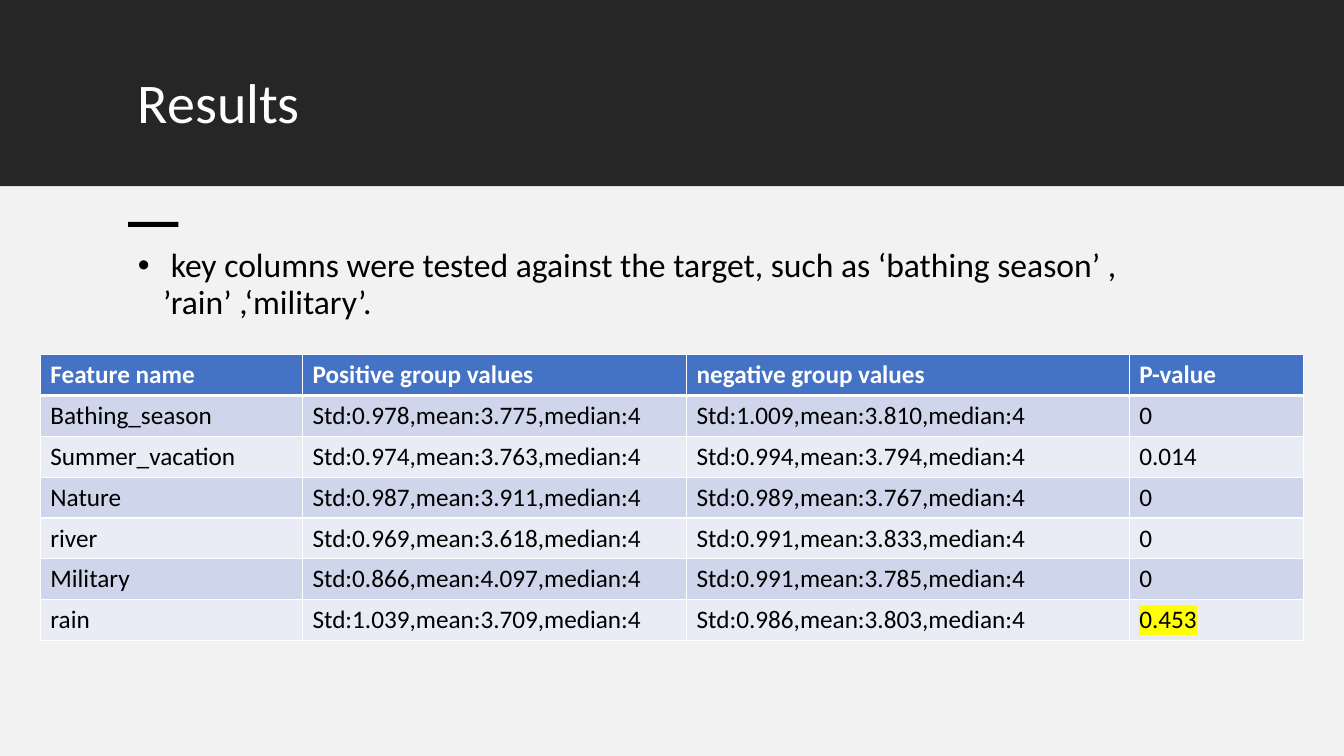
from dataclasses import dataclass
from lxml import etree
from pptx import Presentation, util as u
from pptx.dml.color import RGBColor
from pptx.enum import shapes, text
from pptx.oxml import ns

# Content
HEADING = "Results"
FINDING = " key columns were tested against the target, such as ‘bathing season’ , ’rain’ ,‘military’."
FEATURES = [
    ("Feature name", "Positive group values", "negative group values", "P-value"),
    ("Bathing_season", "Std:0.978,mean:3.775,median:4", "Std:1.009,mean:3.810,median:4", "0"),
    ("Summer_vacation", "Std:0.974,mean:3.763,median:4", "Std:0.994,mean:3.794,median:4", "0.014"),
    ("Nature", "Std:0.987,mean:3.911,median:4", "Std:0.989,mean:3.767,median:4", "0"),
    ("river", "Std:0.969,mean:3.618,median:4", "Std:0.991,mean:3.833,median:4", "0"),
    ("Military", "Std:0.866,mean:4.097,median:4", "Std:0.991,mean:3.785,median:4", "0"),
    ("rain", "Std:1.039,mean:3.709,median:4", "Std:0.986,mean:3.803,median:4", "0.453"),
]
HIGHLIGHTED = "0.453"


@dataclass(frozen=True)
class Theme:
    font: str = "Calibri"
    heading: int = 40
    body: int = 24
    cell: int = 18
    dark: str = "262626"
    pale: str = "F2F2F2"
    white: str = "FFFFFF"
    black: str = "000000"
    header: str = "4472C4"
    bands: tuple = ("CFD5EA", "E9EBF5")
    marker: str = "FFFF00"


THEME = Theme()

# Layout, in inches
WIDTH, HEIGHT = 13.33, 7.5
BANNER = 1.85
MARGIN, TEXT_WIDTH = 1.27, 10.81
COLUMNS = (2.6, 3.81, 4.39, 1.73)
ROW = 0.405
TABLE_TOP = 3.52

deck = Presentation()
deck.slide_width, deck.slide_height = u.Inches(WIDTH), u.Inches(HEIGHT)
slide = deck.slides.add_slide(deck.slide_layouts[6])


def inches(*lengths):
    return [u.Inches(length) for length in lengths]


def add_block(box, color):
    block = slide.shapes.add_shape(shapes.MSO_SHAPE.RECTANGLE, *inches(*box))
    block.shadow.inherit = False
    block.fill.solid()
    block.fill.fore_color.rgb = RGBColor.from_string(color)
    block.line.fill.background()


def add_run(paragraph, words, size, color, bold=False):
    run = paragraph.add_run()
    run.text = words
    run.font.name, run.font.size, run.font.bold = THEME.font, u.Pt(size), bold
    run.font.color.rgb = RGBColor.from_string(color)
    return run


def add_paragraph_box(box):
    frame = slide.shapes.add_textbox(*inches(*box)).text_frame
    frame.word_wrap = True
    frame.vertical_anchor = text.MSO_ANCHOR.TOP
    frame.paragraphs[0].line_spacing = 0.9
    return frame.paragraphs[0]


def add_color(parent, tag, color):
    holder = etree.SubElement(parent, ns.qn(tag))
    etree.SubElement(holder, ns.qn("a:srgbClr"), val=color)
    return holder


def set_borders(cell, bottom):
    properties = cell._tc.get_or_add_tcPr()
    for place, (side, points) in enumerate((("L", 1), ("R", 1), ("T", 1), ("B", bottom))):
        border = etree.Element(ns.qn(f"a:ln{side}"), w=str(u.Pt(points)))
        add_color(border, "a:solidFill", THEME.white)
        properties.insert(place, border)


def highlight(run):
    marker = add_color(run._r.get_or_add_rPr(), "a:highlight", THEME.marker)
    run._r.rPr.find(ns.qn("a:solidFill")).addnext(marker)


# Background and heading
add_block((0, 0, WIDTH, BANNER), THEME.dark)
add_block((0, BANNER, WIDTH, HEIGHT - BANNER), THEME.pale)
add_block((MARGIN, 2.2, 0.5, 0.05), THEME.black)
heading = add_paragraph_box((MARGIN, 0.7, TEXT_WIDTH, 0.98))
add_run(heading, HEADING, THEME.heading, THEME.white)

# Bulleted finding
finding = add_paragraph_box((MARGIN, 2.42, TEXT_WIDTH, 1))
indent = u.Inches(0.25)
finding_format = finding._p.get_or_add_pPr()
finding_format.set("marL", str(indent))
finding_format.set("indent", str(-indent))
etree.SubElement(finding_format, ns.qn("a:buFont"), typeface="Arial")
etree.SubElement(finding_format, ns.qn("a:buChar"), char="•")
add_run(finding, FINDING, THEME.body, THEME.black)

# Feature table
table_width = sum(COLUMNS)
table = slide.shapes.add_table(
    len(FEATURES), len(COLUMNS),
    *inches((WIDTH - table_width) / 2, TABLE_TOP, table_width, ROW * len(FEATURES))).table
for column, width in zip(table.columns, COLUMNS):
    column.width = u.Inches(width)
for r, feature in enumerate(FEATURES):
    table.rows[r].height = u.Inches(ROW)
    is_header = r == 0
    for c, value in enumerate(feature):
        cell = table.cell(r, c)
        cell.fill.solid()
        cell.fill.fore_color.rgb = RGBColor.from_string(
            THEME.header if is_header else THEME.bands[(r - 1) % 2])
        set_borders(cell, 3 if is_header else 1)
        run = add_run(cell.text_frame.paragraphs[0], value, THEME.cell,
                      THEME.white if is_header else THEME.black, is_header)
        if value == HIGHLIGHTED:
            highlight(run)

deck.save("out.pptx")
